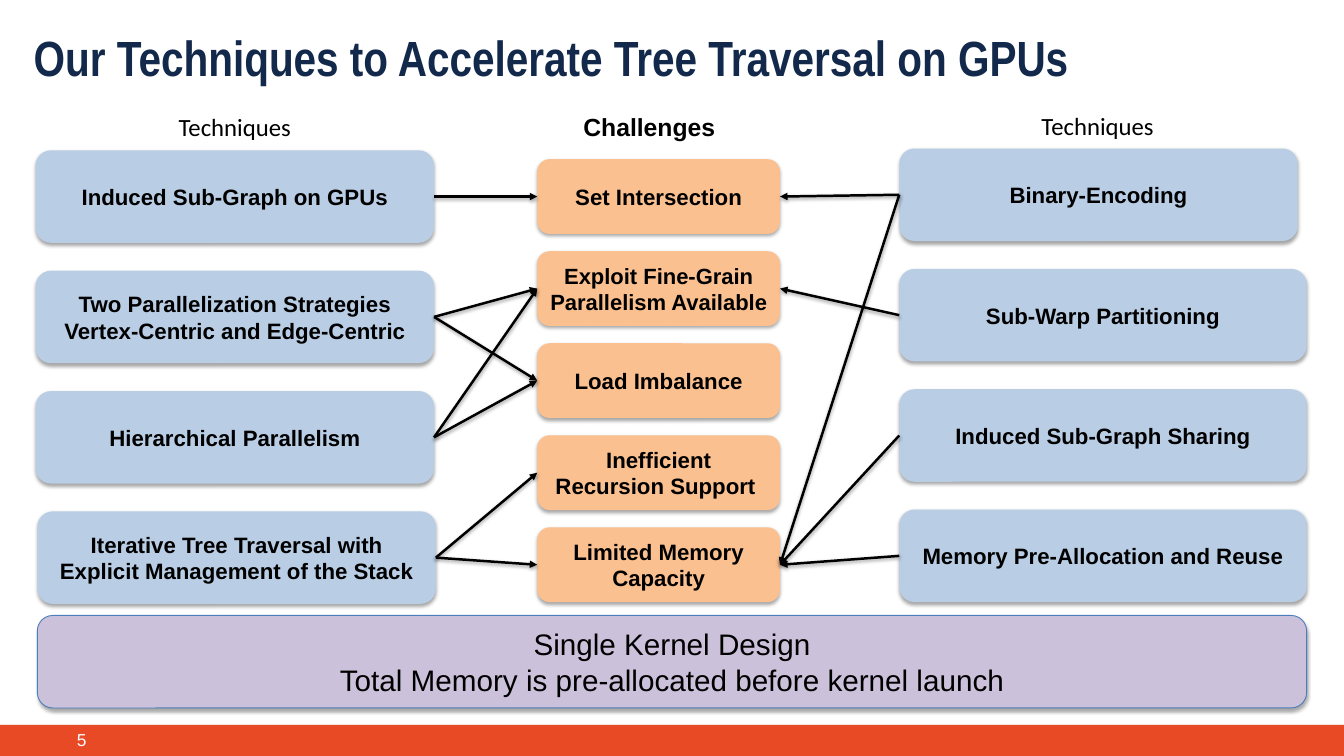
from lxml import etree
from pptx import Presentation
from pptx import util as u
from pptx.dml.color import RGBColor
from pptx.enum import shapes, text
from pptx.oxml import ns

BLACK = RGBColor(0x00, 0x00, 0x00)
WHITE = RGBColor(0xFF, 0xFF, 0xFF)
NAVY = RGBColor(0x13, 0x29, 0x4B)
RED = RGBColor(0xE8, 0x4A, 0x26)
BLUE = RGBColor(0xB9, 0xCD, 0xE5)
PEACH = RGBColor(0xFA, 0xC0, 0x90)
MAUVE = RGBColor(0xCC, 0xC1, 0xDA)
EDGE = RGBColor(0x4B, 0x7E, 0xBC)

LEFT_SIDE, RIGHT_SIDE = 1, 3
BOX_HIGH = 1.04


def write(frame, words, size=18, font="Arial", color=BLACK, bold=False,
          align=text.PP_ALIGN.LEFT, anchor=text.MSO_ANCHOR.TOP, wrap=True, before=0):
    """Fill a text frame, one paragraph for each line of words."""
    frame.word_wrap = wrap
    frame.vertical_anchor = anchor
    for i, line in enumerate(words.split("\n")):
        para = frame.paragraphs[0] if i == 0 else frame.add_paragraph()
        para.alignment = align
        para.space_before = u.Pt(before)
        run = para.add_run()
        run.text = line
        run.font.size, run.font.name, run.font.bold = u.Pt(size), font, bold
        run.font.color.rgb = color


def shade(effects, alpha, blur, drop):
    """Put a soft shadow, cast downwards, into an effect list."""
    outer = etree.SubElement(effects, ns.qn("a:outerShdw"), blurRad=str(u.Pt(blur)),
                             dist=str(u.Pt(drop)), dir="5400000", rotWithShape="0")
    tint = etree.SubElement(outer, ns.qn("a:srgbClr"), val=str(BLACK))
    etree.SubElement(tint, ns.qn("a:alpha"), val=str(alpha * 1000))


class Deck:
    def __init__(self, wide, high):
        self.show = Presentation()
        self.show.slide_width, self.show.slide_height = u.Inches(wide), u.Inches(high)
        self.slide = self.show.slides.add_slide(self.show.slide_layouts[6])

    def label(self, words, x, y, w, h, **style):
        box = self.slide.shapes.add_textbox(*map(u.Inches, (x, y, w, h)))
        write(box.text_frame, words, **style)

    def box(self, words, x, y, w, h, fill, edge=None,
            kind=shapes.MSO_SHAPE.ROUNDED_RECTANGLE, **style):
        box = self.slide.shapes.add_shape(kind, *map(u.Inches, (x, y, w, h)))
        box.fill.solid()
        box.fill.fore_color.rgb = fill
        if edge is None:
            box.line.fill.background()
        else:
            box.line.color.rgb, box.line.width = edge, u.Pt(0.75)
        box.shadow.inherit = False
        shade(box.element.spPr.find(ns.qn("a:effectLst")), 35, 3.1, 1.8)
        if words:
            write(box.text_frame, words, align=text.PP_ALIGN.CENTER,
                  anchor=text.MSO_ANCHOR.MIDDLE, **style)
        return box

    def column(self, cells, top, last, h, fill):
        """Stack boxes evenly; each cell is (words, left, width, size)."""
        step = (last - top) / (len(cells) - 1)
        return [self.box(words, x, top + i * step, w, h, fill, size=size, bold=True)
                for i, (words, x, w, size) in enumerate(cells)]

    def arrow(self, start, side, goal, end):
        line = self.slide.shapes.add_connector(shapes.MSO_CONNECTOR.STRAIGHT, 0, 0, 0, 0)
        line.begin_connect(start, side)
        line.end_connect(goal, end)
        line.line.color.rgb, line.line.width = BLACK, u.Pt(2)
        etree.SubElement(line.line._get_or_add_ln(), ns.qn("a:tailEnd"), type="triangle")
        shade(etree.SubElement(line.element.spPr, ns.qn("a:effectLst")), 38, 3.1, 1.6)


def main():
    deck = Deck(15.11, 8.5)
    deck.box("", 0, 8.15, 15.11, 0.35, RED, kind=shapes.MSO_SHAPE.RECTANGLE)
    deck.label("5", 0.47, 8.14, 0.6, 0.34, size=14, color=WHITE,
               align=text.PP_ALIGN.RIGHT, anchor=text.MSO_ANCHOR.MIDDLE)
    deck.label("Our Techniques to Accelerate Tree Traversal on GPUs", 0.28, 0.26, 13.81, 0.79,
               size=40, font="Arial Narrow", color=NAVY, bold=True, before=5)

    deck.label("Challenges", 6.46, 1.21, 1.7, 0.44, size=20, bold=True, wrap=False)
    for x, y in ((1.91, 1.21), (11.61, 1.2)):
        deck.label("Techniques", x, y, 1.48, 0.44, size=20, font="Calibri", wrap=False)

    goals = deck.column([
        ("Set Intersection", 6.04, 2.73, 18),
        ("Exploit Fine-Grain Parallelism Available", 6.04, 2.73, 17.8),
        ("Load Imbalance", 6.04, 2.73, 18),
        ("Inefficient Recursion Support ", 6.04, 2.73, 18),
        ("Limited Memory Capacity", 6.04, 2.73, 18),
    ], 1.79, 5.93, 0.84, PEACH)
    left = deck.column([
        ("Induced Sub-Graph on GPUs", 0.4, 4.48, 18),
        ("Two Parallelization Strategies\nVertex-Centric and Edge-Centric", 0.4, 4.48, 18),
        ("Hierarchical Parallelism", 0.4, 4.48, 18),
        ("Iterative Tree Traversal with Explicit Management of the Stack", 0.42, 4.48, 18),
    ], 1.69, 5.75, BOX_HIGH, BLUE)
    right = deck.column([
        ("Binary-Encoding", 10.11, 4.48, 18),
        ("Sub-Warp Partitioning", 10.11, 4.58, 18),
        ("Induced Sub-Graph Sharing", 10.11, 4.58, 18),
        ("Memory Pre-Allocation and Reuse", 10.11, 4.58, 18),
    ], 1.67, 5.73, BOX_HIGH, BLUE)

    for i, j in ((0, 0), (1, 1), (1, 2), (2, 1), (2, 2), (3, 3), (3, 4)):
        deck.arrow(left[i], RIGHT_SIDE, goals[j], LEFT_SIDE)
    for i, j in ((0, 0), (0, 4), (1, 1), (2, 4), (3, 4)):
        deck.arrow(right[i], LEFT_SIDE, goals[j], RIGHT_SIDE)

    deck.box("Single Kernel Design\nTotal Memory is pre-allocated before kernel launch",
             0.42, 6.92, 14.27, BOX_HIGH, MAUVE, edge=EDGE, size=24)
    deck.show.save("out.pptx")


if __name__ == "__main__":
    main()
